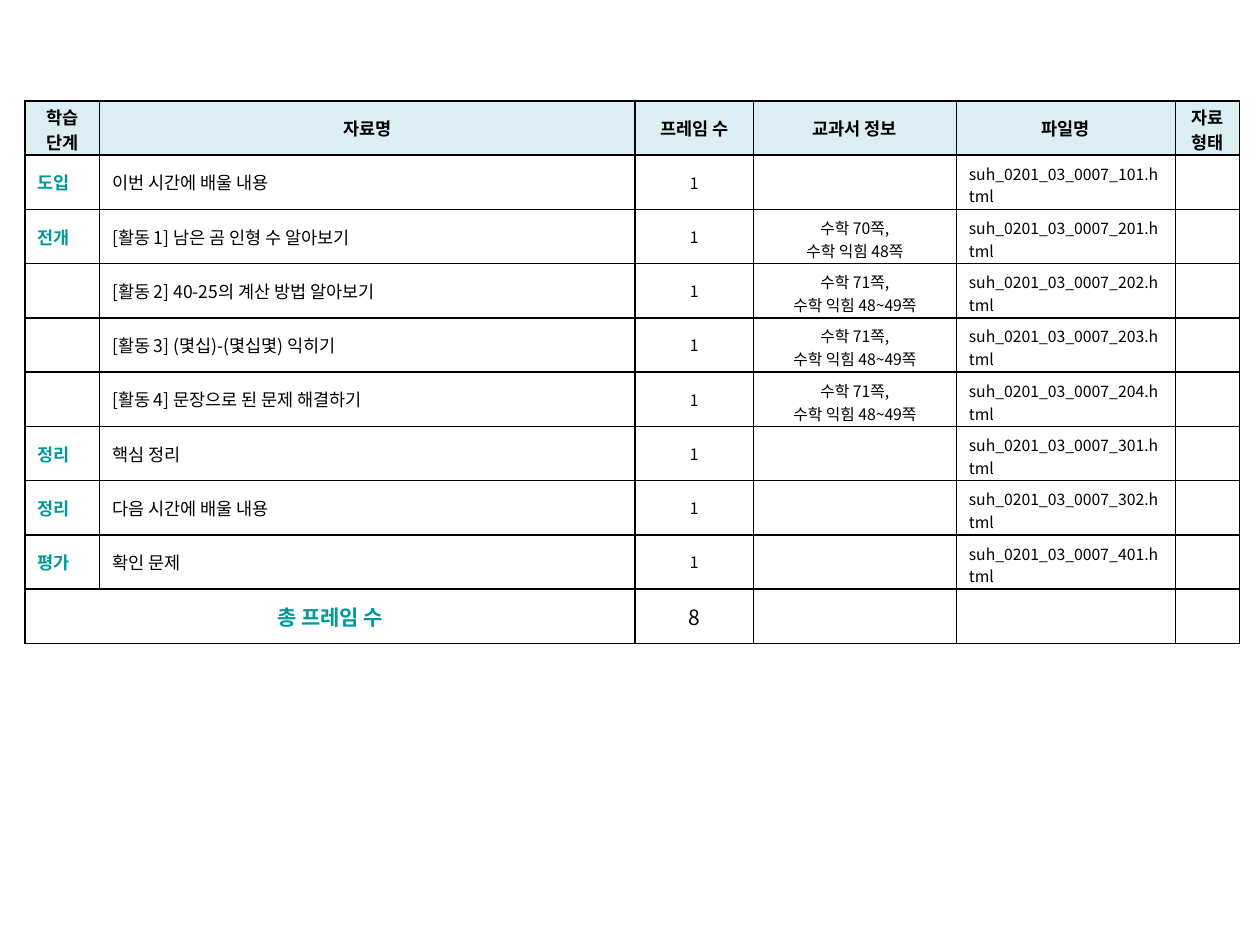
from lxml.etree import SubElement as Sub
from pptx import Presentation
from pptx.dml.color import RGBColor
from pptx.enum.text import MSO_ANCHOR as Anchor, PP_ALIGN as Align
from pptx.oxml.ns import qn
from pptx.util import Inches, Pt

FONT = "Noto Sans CJK KR"
BLACK = RGBColor(0x00, 0x00, 0x00)
TEAL = RGBColor(0x00, 0x99, 0x99)
PALE = RGBColor(0xDB, 0xEE, 0xF4)

WIDTHS = [0.59, 4.25, 0.94, 1.61, 1.74, 0.51]
HIGH = 4.31
HEADS = ["학습 단계", "자료명", "프레임 수", "교과서 정보", "파일명", "자료\n형태"]
# Stage, title, textbook pages, file number
STEPS = [
    ("도입", "이번 시간에 배울 내용", "", 101),
    ("전개", "[활동 1] 남은 곰 인형 수 알아보기", "수학 70쪽,\n수학 익힘 48쪽", 201),
    ("", "[활동 2] 40-25의 계산 방법 알아보기", "수학 71쪽,\n수학 익힘 48~49쪽", 202),
    ("", "[활동 3] (몇십)-(몇십몇) 익히기", "수학 71쪽,\n수학 익힘 48~49쪽", 203),
    ("", "[활동 4] 문장으로 된 문제 해결하기", "수학 71쪽,\n수학 익힘 48~49쪽", 204),
    ("정리", "핵심 정리", "", 301),
    ("정리", "다음 시간에 배울 내용", "", 302),
    ("평가", "확인 문제", "", 401),
]


def add_edges(cell):
    """Draw a thin black line on all four sides."""
    props = cell._tc.get_or_add_tcPr()
    for spot, side in enumerate(("lnL", "lnR", "lnT", "lnB")):
        line = props.makeelement(qn(f"a:{side}"), {"w": str(Pt(1))})
        fill = Sub(line, qn("a:solidFill"))
        Sub(fill, qn("a:srgbClr"), val=str(BLACK))
        props.insert(spot, line)


def set_pad(cell, top, bottom):
    """Tighten a two-line cell so that its row keeps its height."""
    cell.margin_top, cell.margin_bottom = Inches(top), Inches(bottom)


def set_cell(cell, text="", size=9, color=BLACK, bold=False,
             align=Align.CENTER, fill=None):
    cell.text_frame.text = text
    cell.vertical_anchor = Anchor.MIDDLE
    for para in cell.text_frame.paragraphs:
        para.alignment = align
        for run in para.runs:
            font = run.font
            font.name, font.size, font.bold = FONT, Pt(size), bold
            font.color.rgb = color
            Sub(font._element, qn("a:ea"), typeface=FONT)
        if not para.runs:  # keeps an empty cell from growing its row
            Sub(para._p, qn("a:endParaRPr"), sz=str(size * 100))
    if fill is None:
        cell.fill.background()
    else:
        cell.fill.solid()
        cell.fill.fore_color.rgb = fill
    add_edges(cell)


def add_grid(slide):
    rows = len(STEPS) + 2
    frame = slide.shapes.add_table(
        rows, len(WIDTHS), Inches(0.2), Inches(0.8),
        Inches(sum(WIDTHS)), Inches(HIGH))
    grid = frame.table
    grid.first_row = grid.horz_banding = False
    for col, width in zip(grid.columns, WIDTHS):
        col.width = Inches(width)
    for row in grid.rows:
        row.height = Inches(HIGH / rows)
    return grid


def fill_step(cells, stage, title, pages, number):
    set_cell(cells[0], stage, 10, TEAL, True, Align.JUSTIFY)
    set_cell(cells[1], title, 10, align=Align.LEFT)
    set_cell(cells[2], "1")
    set_cell(cells[3], pages)
    set_cell(cells[4], f"suh_0201_03_0007_{number}.html", align=Align.LEFT)
    set_cell(cells[5])
    for cell in cells[3:5]:
        set_pad(cell, 0.05, 0.01)


def fill_total(cells):
    cells[0].merge(cells[1])
    for cell in cells:
        set_cell(cell)
    set_cell(cells[0], "총 프레임 수", 12, TEAL, True)
    set_cell(cells[2], str(len(STEPS)), 12)


def main():
    deck = Presentation()
    deck.slide_width, deck.slide_height = Inches(10), Inches(7.5)
    slide = deck.slides.add_slide(deck.slide_layouts[6])
    grid = add_grid(slide)
    head, *body, total = [list(row.cells) for row in grid.rows]

    # Heading row
    for cell, text in zip(head, HEADS):
        set_cell(cell, text, 10, bold=True, fill=PALE)
    for cell in (head[0], head[-1]):
        set_pad(cell, 0.03, 0)
    # Lesson steps
    for cells, step in zip(body, STEPS):
        fill_step(cells, *step)
    # Total row
    fill_total(total)
    deck.save("out.pptx")


if __name__ == "__main__":
    main()
